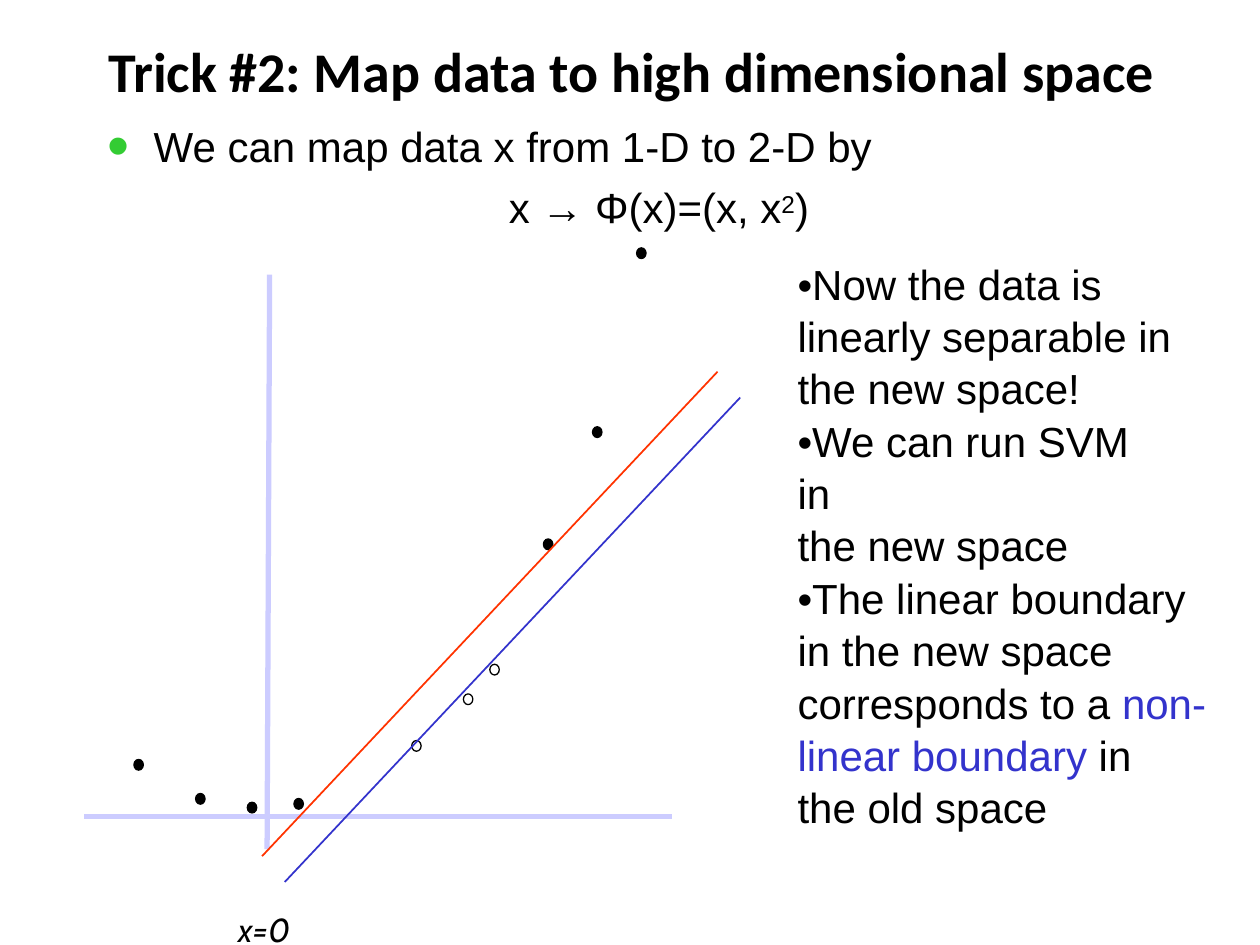
from lxml.etree import SubElement
from pptx import Presentation
from pptx.dml.color import RGBColor
from pptx.enum.shapes import MSO_CONNECTOR as Connector, MSO_SHAPE as Shape
from pptx.enum.text import MSO_ANCHOR as Anchor, PP_ALIGN as Align
from pptx.oxml.ns import qn
from pptx.util import Inches, Pt

COLORS = {
    "text": "000000",
    "bullet": "33CC33",
    "axis": "CCCCFF",
    "boundary": "3333CC",
    "margin": "FF3300",
}
COLUMNS, ROWS = 100, 75
CELL = Inches(10) // COLUMNS

FILLED_POINTS = [(11, 60.7), (47.4, 43.4), (50.9, 20.1), (15.9, 63.4),
                 (43.5, 43.2), (20, 64.1), (23.7, 63.8)]
FILLED_POINTS[1:2] = [(47.4, 34.3)]
OPEN_POINTS = [(33.05, 59.2), (37.15, 55.5), (39.25, 53.15)]
POINT_SIZE = (0.75, 0.85)
BOUNDARY_RUN, BOUNDARY_RISE = 36.15, 38.45

NOTES_INDENT = 55
NOTES = [
    # text pieces with their colours, right margin in columns, space before
    ([("•Now the data is linearly separable in the new space!", "text")], 2, 13.6),
    ([("•We can run SVM in", "text")], 5, 0),
    ([("the new space", "text")], 0, 0),
    ([("•The linear boundary in the new space corresponds to a ", "text"),
      ("non-linear boundary", "boundary"),
      (" in", "text"), ("\v", "text"), ("the old space", "text")], 0, 0),
]


def cells(count):
    return round(count * CELL)


def color(name):
    return RGBColor.from_string(COLORS[name])


def add_line(slide, start, end, color_name, width):
    line = slide.shapes.add_connector(
        Connector.STRAIGHT, *(cells(value) for value in (*start, *end)))
    line.line.color.rgb = color(color_name)
    line.line.width = Pt(width)
    SubElement(line._element.spPr, qn("a:effectLst"))


def add_point(slide, center, filled):
    width, height = POINT_SIZE
    column, row = center
    point = slide.shapes.add_shape(
        Shape.OVAL, cells(column - width / 2), cells(row - height / 2),
        cells(width), cells(height))
    point.shadow.inherit = False
    if filled:
        point.fill.solid()
        point.fill.fore_color.rgb = color("text")
    else:
        point.fill.background()
    point.line.color.rgb = color("text")
    point.line.width = Pt(0.75)


def add_text_frame(slide, column, row, width, height, anchor=Anchor.TOP):
    box = slide.shapes.add_textbox(*(cells(n) for n in (column, row, width, height)))
    frame = box.text_frame
    frame.word_wrap = True
    frame.vertical_anchor = anchor
    frame.margin_left = frame.margin_right = 0
    frame.margin_top = frame.margin_bottom = 0
    return frame


def format_run(run, size=24, font="Arial", color_name="text", bold=False, italic=False):
    run.font.size = Pt(size)
    run.font.name = font
    run.font.bold = bold
    run.font.italic = italic
    run.font.color.rgb = color(color_name)


def set_indent(paragraph, left, first=0, right=0):
    """Set paragraph margins in grid columns."""
    properties = paragraph._p.get_or_add_pPr()
    for name, value in (("marL", left), ("marR", right), ("indent", first)):
        properties.set(name, str(cells(value)))


def add_bullet(paragraph):
    properties = paragraph._p.get_or_add_pPr()
    bullet_color = SubElement(properties, qn("a:buClr"))
    SubElement(bullet_color, qn("a:srgbClr"), val=COLORS["bullet"])
    SubElement(properties, qn("a:buSzPct"), val="150000")
    SubElement(properties, qn("a:buFont"), typeface="Arial")
    SubElement(properties, qn("a:buChar"), char="•")


def add_title(slide):
    frame = add_text_frame(slide, 8.3, 2.9, 90, 5.4, Anchor.MIDDLE)
    frame.text = "Trick #2: Map data to high dimensional space"
    set_indent(frame.paragraphs[0], 0.3)
    format_run(frame.paragraphs[0].runs[0], 32, "Calibri", bold=True)


def add_plot(slide):
    add_line(slide, (21.4, 21.8), (21.2, 67.4), "axis", 3)
    add_line(slide, (6.7, 64.8), (53.3, 64.8), "axis", 3)
    for points, filled in ((FILLED_POINTS, True), (OPEN_POINTS, False)):
        for center in points:
            add_point(slide, center, filled)
    for (column, row), name in (((22.6, 70), "boundary"), ((20.8, 67.95), "margin")):
        end = (column + BOUNDARY_RUN, row - BOUNDARY_RISE)
        add_line(slide, (column, row), end, name, 1)


def add_mapping(frame):
    heading = frame.paragraphs[0]
    heading.text = "We can map data x from 1-D to 2-D by"
    set_indent(heading, 3.9, -3.7)
    add_bullet(heading)
    format_run(heading.runs[0])

    formula = frame.add_paragraph()
    formula.alignment = Align.CENTER
    formula.space_before = Pt(6)
    for text in ("x → Φ(x)=(x, x", "2", ")"):
        run = formula.add_run()
        run.text = text
        format_run(run)
    formula.runs[1].font._element.set("baseline", "24000")


def add_notes(frame):
    for pieces, right, space_before in NOTES:
        paragraph = frame.add_paragraph()
        set_indent(paragraph, NOTES_INDENT, right=right)
        paragraph.space_before = Pt(space_before)
        paragraph.line_spacing = 1.04
        for text, color_name in pieces:
            if text == "\v":
                paragraph.add_line_break()
                continue
            run = paragraph.add_run()
            run.text = text
            format_run(run, color_name=color_name)


def add_origin_label(frame):
    paragraph = frame.add_paragraph()
    paragraph.text = "x=0"
    paragraph.space_before = Pt(44)
    set_indent(paragraph, 10.6)
    format_run(paragraph.runs[0], 19, "Cabin", italic=True)


def main():
    presentation = Presentation()
    presentation.slide_width = cells(COLUMNS)
    presentation.slide_height = cells(ROWS)
    slide = presentation.slides.add_slide(presentation.slide_layouts[6])
    add_title(slide)
    add_plot(slide)
    frame = add_text_frame(slide, 8.3, 9.6, 88, 60)
    add_mapping(frame)
    add_notes(frame)
    add_origin_label(frame)
    presentation.save("out.pptx")


if __name__ == "__main__":
    main()
